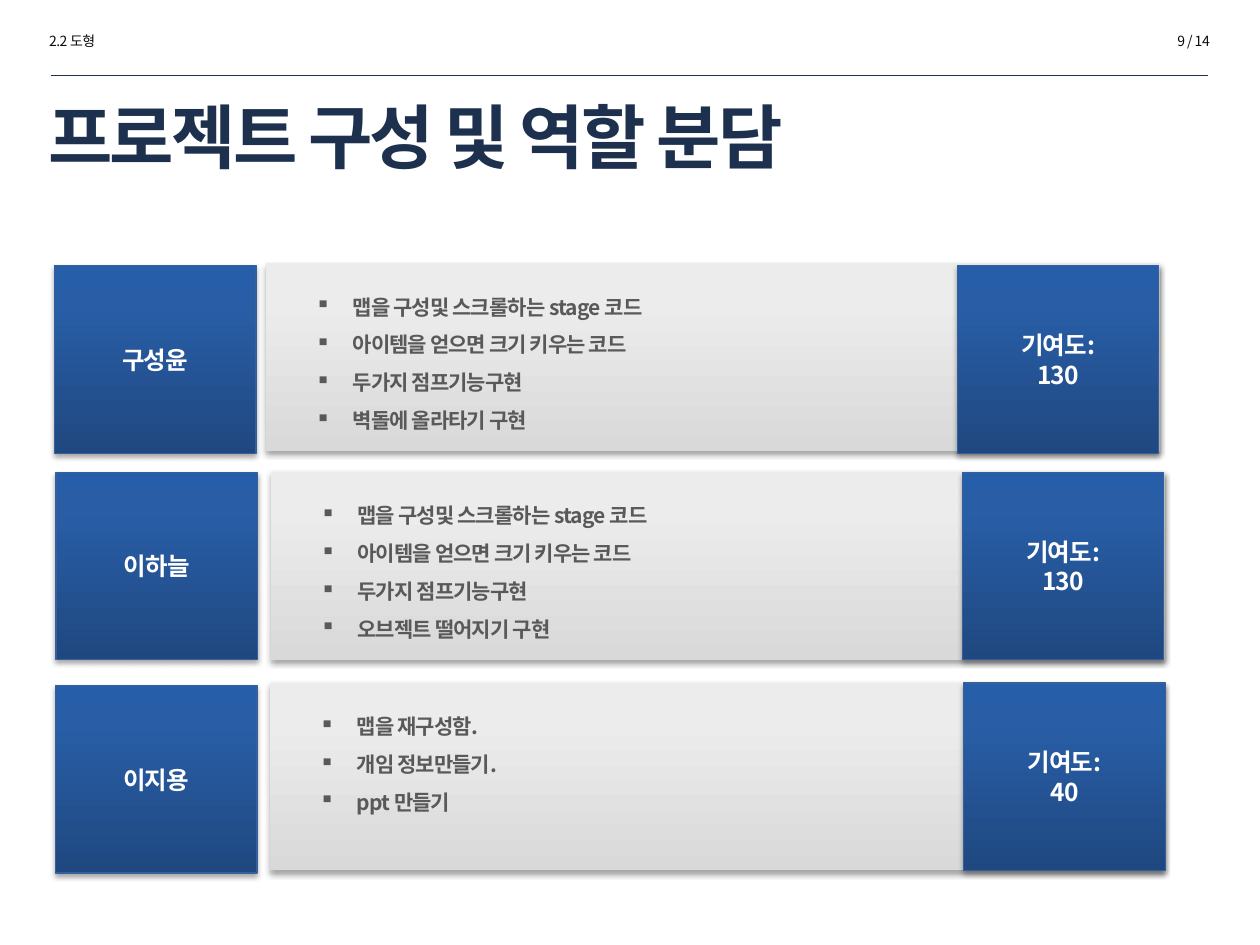
from dataclasses import dataclass

from lxml import etree
from pptx import Presentation
from pptx import util as u
from pptx.dml.color import RGBColor
from pptx.enum import shapes, text
from pptx.oxml import parse_xml
from pptx.oxml.ns import nsdecls, qn


@dataclass(frozen=True)
class Theme:
    font: str = "Noto Sans CJK KR"
    ink: str = "0D0D0D"
    title: str = "1D314E"
    rule: str = "1C314E"
    white: str = "FFFFFF"
    task: str = "595959"
    border: str = "35609C"
    blue: tuple = ((0, "1F4880"), (80, "295EA7"), (100, "265EAA"))
    grey: tuple = ((0, "D9D9D9"), (80, "ECECEC"))
    small_size: float = 8
    task_size: float = 12
    label_size: float = 14
    title_size: float = 40


@dataclass(frozen=True)
class Member:
    name: str
    tasks: tuple
    share: int
    name_at: tuple  # left and top in cm, as for the next two
    tasks_at: tuple
    share_at: tuple


THEME = Theme()
LABEL_WIDTH, TASKS_WIDTH, ROW_HEIGHT = 4.06, 18.03, 3.78
MAX_TASKS, TASK_LINE = 4, 0.76
SHARED_TASKS = (
    "맵을 구성및 스크롤하는 stage 코드",
    "아이템을 얻으면 크기 키우는 코드",
    "두가지 점프기능구현",
)
MEMBERS = (
    Member("구성윤", SHARED_TASKS + ("벽돌에 올라타기 구현",), 130,
           (1.1, 5.36), (5.36, 5.31), (19.3, 5.36)),
    Member("이하늘", SHARED_TASKS + ("오브젝트 떨어지기 구현",), 130,
           (1.13, 9.52), (5.46, 9.52), (19.4, 9.52)),
    Member("이지용", ("맵을 재구성함.", "개임 정보만들기.", "ppt 만들기"), 40,
           (1.12, 13.82), (5.44, 13.77), (19.43, 13.77)),
)


def write(shape, words: str, size: float, color: str, spacing: float,
          bold: bool = False, align=text.PP_ALIGN.LEFT) -> None:
    """Put words in a shape, one paragraph a line, and format every run."""
    frame = shape.text_frame
    frame.word_wrap = True
    frame.text = words
    for para in frame.paragraphs:
        para.alignment = align
        for span in para.runs:
            font = span.font
            font.size, font.bold, font.name = u.Pt(size), bold, THEME.font
            font.color.rgb = RGBColor.from_string(color)
            properties = span._r.get_or_add_rPr()
            properties.set("spc", str(round(spacing * 100)))
            east_asian = etree.SubElement(properties, qn("a:ea"))
            east_asian.set("typeface", THEME.font)


def add_text(page, left: float, top: float, width: float, height: float,
             words: str, **style):
    box = page.shapes.add_textbox(u.Cm(left), u.Cm(top), u.Cm(width), u.Cm(height))
    write(box, words, **style)
    return box


def add_panel(page, at: tuple, width: float, stops: tuple):
    """Rectangle with an upward gradient and a soft shadow below."""
    panel = page.shapes.add_shape(
        shapes.MSO_SHAPE.RECTANGLE, u.Cm(at[0]), u.Cm(at[1]), u.Cm(width), u.Cm(ROW_HEIGHT))
    panel.line.fill.background()
    panel.shadow.inherit = False
    panel.text_frame.vertical_anchor = text.MSO_ANCHOR.MIDDLE
    colors = "".join(
        f'<a:gs pos="{place * 1000}"><a:srgbClr val="{color}"/></a:gs>'
        for place, color in stops)
    properties = panel._element.spPr
    properties.find(qn("a:prstGeom")).addnext(parse_xml(
        f'<a:gradFill {nsdecls("a")} rotWithShape="1"><a:gsLst>{colors}</a:gsLst>'
        '<a:lin ang="16200000" scaled="0"/></a:gradFill>'))
    properties.find(qn("a:effectLst")).append(parse_xml(
        f'<a:outerShdw {nsdecls("a")} blurRad="{u.Pt(3.1)}" dist="{u.Pt(1.8)}" '
        'dir="5400000" rotWithShape="0"><a:srgbClr val="000000">'
        '<a:alpha val="35000"/></a:srgbClr></a:outerShdw>'))
    return panel


def add_label(page, at: tuple, words: str) -> None:
    label = add_panel(page, at, LABEL_WIDTH, THEME.blue)
    label.line.color.rgb = RGBColor.from_string(THEME.border)
    label.line.width = u.Pt(0.75)
    write(label, words, THEME.label_size, THEME.white, -0.5, True, text.PP_ALIGN.CENTER)


def add_tasks(page, at: tuple, tasks: tuple) -> None:
    panel = add_panel(page, at, TASKS_WIDTH, THEME.grey)
    write(panel, "\n".join(tasks), THEME.task_size, THEME.task, -0.5, True)
    # Shorter lists start at the same height as full ones
    panel.text_frame.margin_bottom = u.Cm(0.13 + TASK_LINE * (MAX_TASKS - len(tasks)))
    for para in panel.text_frame.paragraphs:
        para.line_spacing = 1.5
        properties = para._p.get_or_add_pPr()
        properties.set("marL", str(u.Cm(1.5)))
        properties.set("indent", str(u.Cm(-0.75)))
        etree.SubElement(properties, qn("a:buChar")).set("char", "▪")


def main() -> None:
    deck = Presentation()
    deck.slide_width, deck.slide_height = u.Cm(25.4), u.Cm(19.05)
    page = deck.slides.add_slide(deck.slide_layouts[6])

    # Header and rule
    small = dict(size=THEME.small_size, color=THEME.ink, spacing=-0.3)
    add_text(page, 0.74, 0.53, 4.4, 0.6, "2.2 도형", **small)
    add_text(page, 20.22, 0.53, 4.42, 0.6, "9 / 14", align=text.PP_ALIGN.RIGHT, **small)
    rule = page.shapes.add_connector(
        shapes.MSO_CONNECTOR.STRAIGHT, u.Cm(1.02), u.Cm(1.52), u.Cm(24.36), u.Cm(1.52))
    rule.line.color.rgb = RGBColor.from_string(THEME.rule)
    rule.line.width = u.Pt(0.25)
    etree.SubElement(rule._element.spPr, qn("a:effectLst"))

    # Title
    title = add_text(page, 0.72, 1.47, 23.27, 2.54, "프로젝트 구성 및 역할 분담",
                     size=THEME.title_size, color=THEME.title, spacing=-1.5, bold=True)
    title.text_frame.vertical_anchor = text.MSO_ANCHOR.MIDDLE

    # One row for each member: name, tasks, contribution
    for member in MEMBERS:
        add_label(page, member.name_at, member.name)
        add_tasks(page, member.tasks_at, member.tasks)
        add_label(page, member.share_at, f"기여도:\n{member.share}")

    deck.save("out.pptx")


if __name__ == "__main__":
    main()
